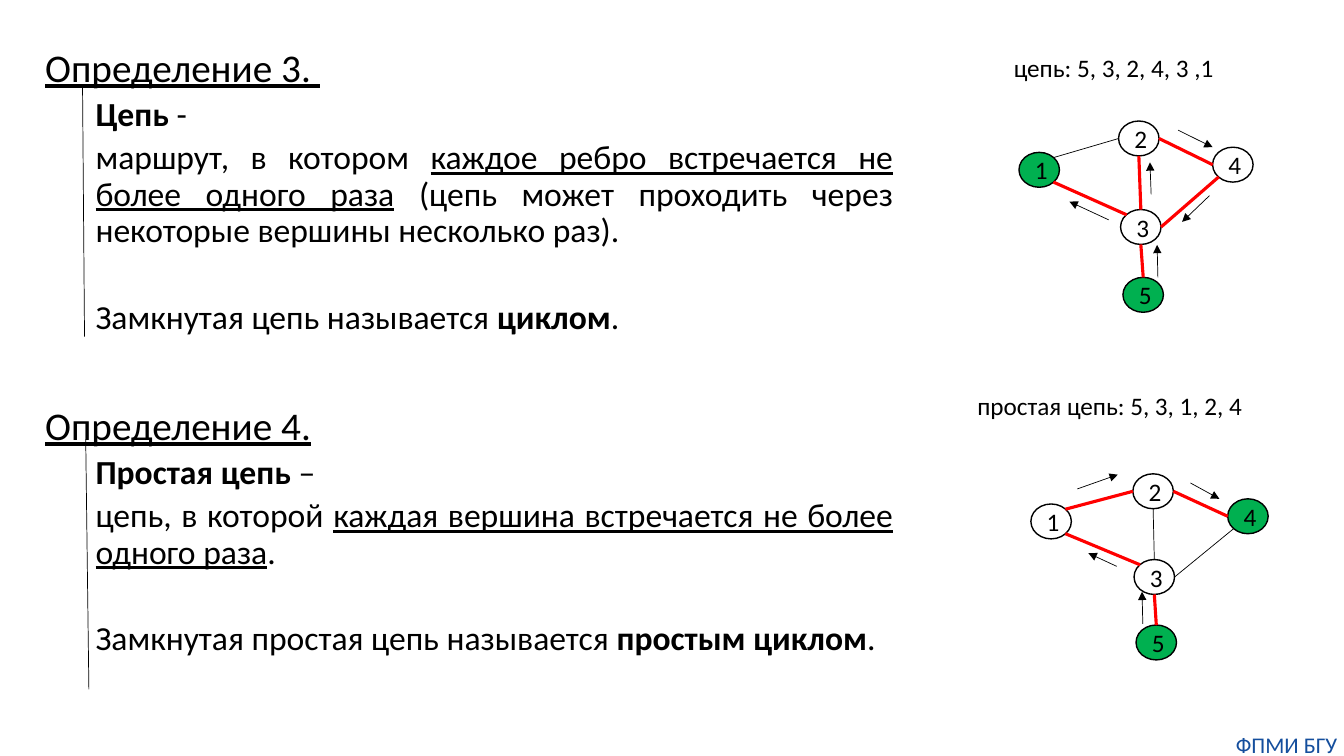
from pptx import Presentation
from pptx.util import Cm, Pt
from pptx.dml.color import RGBColor
from pptx.enum.shapes import MSO_SHAPE as SHAPE, MSO_CONNECTOR as CONN
from pptx.enum.text import PP_ALIGN as ALIGN, MSO_ANCHOR as ANCHOR
from pptx.oxml.ns import qn
from lxml.etree import SubElement

COLORS = {"black": "000000", "green": "00B050", "red": "FF0000", "blue": "144E9D"}


def add_run(p, text, size, color="black", style=""):
    r = p.add_run()
    r.text = text
    r.font.name = "Calibri"
    r.font.size = Pt(size)
    r.font.color.rgb = RGBColor.from_string(COLORS[color])
    r.font.bold = "b" in style
    r.font.underline = "u" in style


def add_line(start, end, color="black", width=0.5, arrow=False):
    points = [Cm(v) for v in (*start, *end)]
    line = slide.shapes.add_connector(CONN.STRAIGHT, *points)
    line.line.color.rgb = RGBColor.from_string(COLORS[color])
    line.line.width = Pt(width)
    if arrow:
        SubElement(line.line._get_or_add_ln(), qn("a:tailEnd"), type="triangle")
    SubElement(line._element.spPr, qn("a:effectLst"))


prs = Presentation()
prs.slide_width, prs.slide_height = Cm(33.87), Cm(19.05)
slide = prs.slides.add_slide(prs.slide_layouts[6])

definitions = [
    (0, 0, [("Определение 3. ", "u")]),
    (1, 5, [("Цепь", "b"), (" -", "")]),
    (1, 5, [("маршрут, в котором ", ""),
            ("каждое ребро встречается не более одного раза", "u"),
            (" (цепь может проходить через некоторые вершины несколько раз).", "")]),
    (1, 36, [("Замкнутая цепь называется ", ""), ("циклом", "b"), (".", "")]),
    (0, 50, [("Определение 4.", "u")]),
    (1, 5, [("Простая цепь ", "b"), ("–", "")]),
    (1, 5, [("цепь, в которой ", ""),
            ("каждая вершина встречается не более одного раза", "u"), (".", "")]),
    (1, 36, [("Замкнутая простая цепь называется ", ""), ("простым циклом", "b"), (".", "")]),
]
tf = slide.shapes.add_textbox(Cm(0.89), Cm(1.09), Cm(21.87), Cm(17.42)).text_frame
tf.word_wrap = True
for i, (level, before, runs) in enumerate(definitions):
    p = tf.paragraphs[0] if i == 0 else tf.add_paragraph()
    p.level = level
    p.alignment = ALIGN.JUSTIFY
    p.line_spacing = 0.9
    p.space_before = Pt(before)
    p._p.get_or_add_pPr().set("marL", str(Cm(1.27 * level)))
    for text, style in runs:
        add_run(p, text, 24 if level else 28, style=style)

NODE_W, NODE_H = 1.02, 0.88
SITES = {"top": (0.5, 0), "bottom": (0.5, 1), "left": (0, 0.5), "right": (1, 0.5),
         "top left": (0.15, 0.15), "top right": (0.85, 0.15),
         "bottom left": (0.15, 0.85), "bottom right": (0.85, 0.85)}
EDGES = [(1, "bottom right", 3, "top left"), (3, "top", 2, "bottom"),
         (3, "right", 4, "bottom left"), (2, "right", 4, "left"),
         (3, "bottom", 5, "top"), (1, "top right", 2, "left")]

graphs = [
    {"caption": ("цепь: 5, 3, 2, 4, 3 ,1", 25.3, 1.19, 5.99),
     "nodes": {1: (25.68, 3.84), 2: (28.19, 3.05), 3: (28.24, 5.28),
               4: (30.56, 3.71), 5: (28.3, 6.99)},
     "ends": {1, 5},
     "thin": {(1, 2)},
     "arrows": [((29.18, 6.99), (29.16, 6.17)), ((29.01, 4.9), (28.98, 4.09)),
                ((29.69, 3.28), (30.56, 3.71)), ((30.48, 4.93), (29.79, 5.59)),
                ((27.94, 5.54), (26.95, 5.08))]},
    {"caption": ("простая цепь: 5, 3, 1, 2, 4", 24.38, 9.7, 7.57),
     "nodes": {1: (25.98, 12.7), 2: (28.55, 11.94), 3: (28.58, 14.1),
               4: (30.94, 12.57), 5: (28.63, 15.75)},
     "ends": {4, 5},
     "thin": {(3, 2), (3, 4)},
     "arrows": [((28.8, 15.72), (28.78, 14.91)), ((28.14, 14.27), (27.43, 13.94)),
                ((27.15, 12.32), (28.17, 11.96)), ((30, 12.17), (30.73, 12.57))]},
]
for graph in graphs:
    text, x, y, w = graph["caption"]
    tf = slide.shapes.add_textbox(Cm(x), Cm(y), Cm(w), Cm(1.02)).text_frame
    tf.word_wrap = True
    add_run(tf.paragraphs[0], text, 18)

    nodes = graph["nodes"]
    for number, (x, y) in nodes.items():
        sp = slide.shapes.add_shape(SHAPE.OVAL, Cm(x), Cm(y), Cm(NODE_W), Cm(NODE_H))
        sp.shadow.inherit = False
        if number in graph["ends"]:
            sp.fill.solid()
            sp.fill.fore_color.rgb = RGBColor.from_string(COLORS["green"])
        else:
            sp.fill.background()
        sp.line.color.rgb = RGBColor.from_string(COLORS["black"])
        sp.line.width = Pt(1)
        tf = sp.text_frame
        tf.vertical_anchor = ANCHOR.MIDDLE
        p = tf.paragraphs[0]
        p.alignment = ALIGN.CENTER
        add_run(p, str(number), 18)

    for a, site_a, b, site_b in EDGES:
        start, end = [(nodes[n][0] + NODE_W * SITES[s][0], nodes[n][1] + NODE_H * SITES[s][1])
                      for n, s in ((a, site_a), (b, site_b))]
        if (a, b) in graph["thin"]:
            add_line(start, end)
        else:
            add_line(start, end, "red", 2.25)
    for start, end in graph["arrows"]:
        add_line(start, end, arrow=True)

add_line((2.08, 2.18), (2.13, 8.48))
add_line((2.16, 11.07), (2.24, 17.37))

tf = slide.shapes.add_textbox(Cm(30.99), Cm(18.42), Cm(2.87), Cm(0.69)).text_frame
tf.margin_left = tf.margin_right = tf.margin_top = tf.margin_bottom = 0
tf.word_wrap = True
p = tf.paragraphs[0]
p.alignment = ALIGN.CENTER
add_run(p, "ФПМИ БГУ", 16, "blue")

prs.save("out.pptx")
